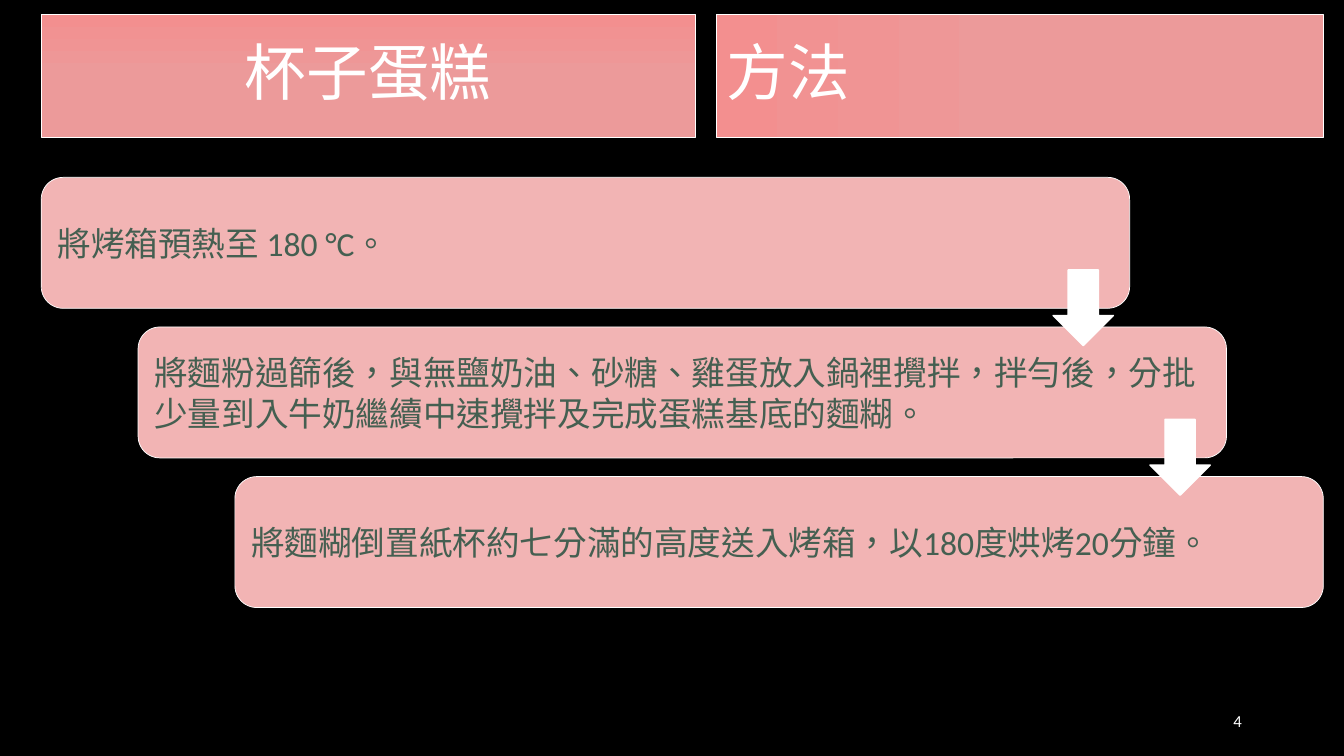
"""Build the cupcake method slide: two title panels and three stepped instructions."""
from pptx import Presentation
from pptx.dml.color import RGBColor
from pptx.enum.shapes import MSO_SHAPE as Shape
from pptx.enum.text import MSO_ANCHOR as Anchor, PP_ALIGN as Align
from pptx.oxml.ns import qn
from pptx.util import Cm, Pt
from lxml import etree

COLOURS = {
    "background": "000000",
    "white": "FFFFFF",
    "panel_start": "F38F8F",
    "panel_end": "EC9A9A",
    "step": "F2B4B4",
    "step_text": "455F51",
}
CHINESE_FONT = "Noto Sans CJK TC"


def colour(name):
    return RGBColor.from_string(COLOURS[name])


def write(holder, text, size, font="Calibri", ink="white", align=Align.LEFT, spacing=None):
    frame = holder.text_frame
    frame.word_wrap = True
    frame.vertical_anchor = Anchor.MIDDLE
    paragraph = frame.paragraphs[0]
    paragraph.alignment = align
    paragraph.line_spacing = spacing
    run = paragraph.add_run()
    run.text = text
    run.font.size = Pt(size)
    run.font.name = font
    run.font.color.rgb = colour(ink)
    run._r.rPr.set("lang", "zh-TW")
    etree.SubElement(run._r.rPr, qn("a:ea")).set("typeface", CHINESE_FONT)


deck = Presentation()
deck.slide_width, deck.slide_height = Cm(33.87), Cm(19.05)
slide = deck.slides.add_slide(deck.slide_layouts[5])
slide.background.fill.solid()
slide.background.fill.fore_color.rgb = colour("background")

recipe = slide.shapes.add_shape(Shape.RECTANGLE, Cm(1.04), Cm(0.36), Cm(16.48), Cm(3.1))
recipe.shadow.inherit = False
heading = slide.shapes.title
heading.left, heading.top, heading.width, heading.height = Cm(18.06), Cm(0.36), Cm(15.29), Cm(3.1)

for panel, label, align, angle in [
    (recipe, "杯子蛋糕", Align.CENTER, 270),
    (heading, "方法", Align.LEFT, 0),
]:
    panel.fill.gradient()
    panel.fill.gradient_angle = angle
    start, end = panel.fill.gradient_stops
    start.color.rgb, start.position = colour("panel_start"), 0
    end.color.rgb, end.position = colour("panel_end"), 0.5
    panel.line.color.rgb = colour("white")
    panel.line.width = Pt(0.5)
    write(panel, label, 44, font=CHINESE_FONT, align=align, spacing=0.9)

page_number = slide.shapes.add_textbox(Cm(23.93), Cm(17.65), Cm(7.62), Cm(1.02))
write(page_number, "4", 12, align=Align.RIGHT)

STEPS = [
    "將烤箱預熱至 180 °C。",
    "將麵粉過篩後，與無鹽奶油、砂糖、雞蛋放入鍋裡攪拌，拌勻後，分批少量到入牛奶繼續中速攪拌及完成蛋糕基底的麵糊。",
    "將麵糊倒置紙杯約七分滿的高度送入烤箱，以180度烘烤20分鐘。",
]
STEP_RIGHT, STEP_DOWN = 2.44, 3.77

for index, instruction in enumerate(STEPS):
    step = slide.shapes.add_shape(
        Shape.ROUNDED_RECTANGLE,
        Cm(1.04 + index * STEP_RIGHT), Cm(4.47 + index * STEP_DOWN), Cm(27.43), Cm(3.3),
    )
    step.shadow.inherit = False
    step.fill.solid()
    step.fill.fore_color.rgb = colour("step")
    step.line.color.rgb = colour("white")
    step.line.width = Pt(0.5)
    write(step, instruction, 24, ink="step_text")

for index in range(len(STEPS) - 1):
    arrow = slide.shapes.add_shape(
        Shape.DOWN_ARROW,
        Cm(26.54 + index * STEP_RIGHT), Cm(6.8 + index * STEP_DOWN), Cm(1.52), Cm(1.91),
    )
    arrow.shadow.inherit = False
    arrow.fill.solid()
    arrow.fill.fore_color.rgb = colour("white")
    arrow.line.color.rgb = colour("white")
    arrow.line.width = Pt(1)

deck.save("out.pptx")
